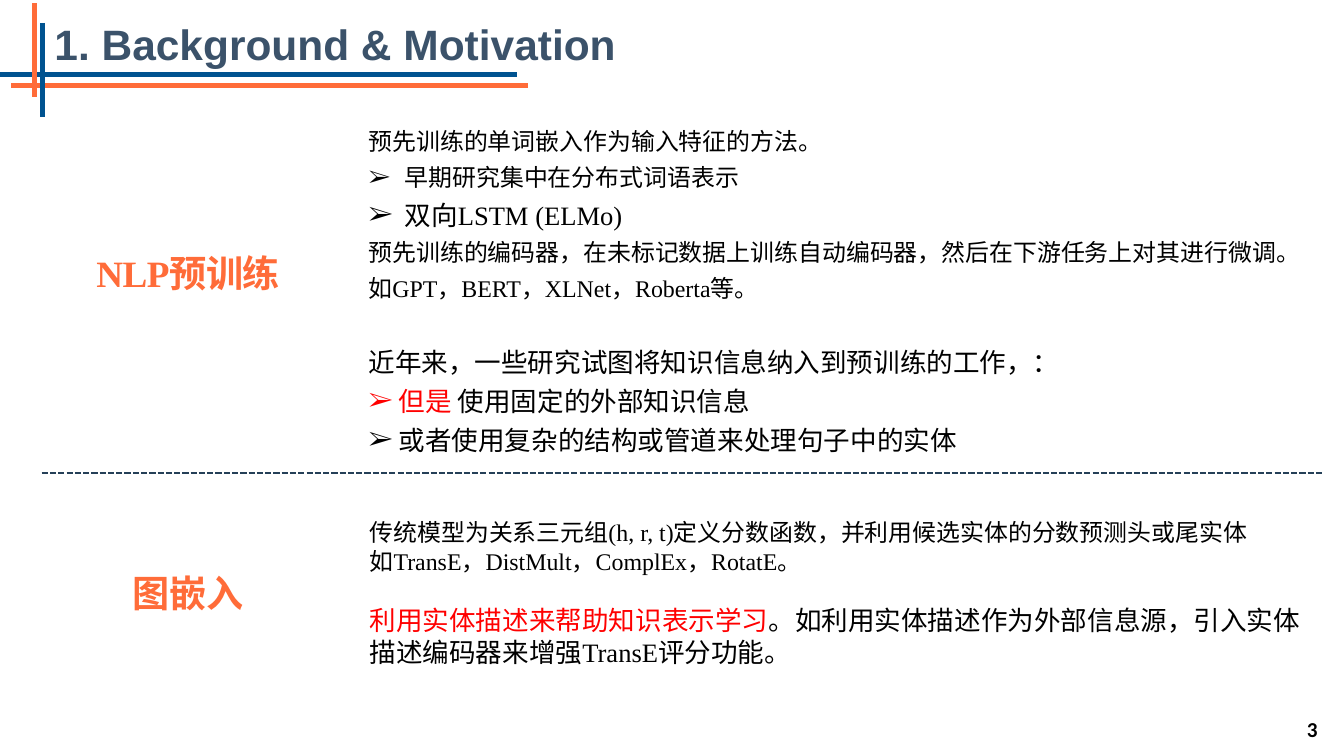
import lxml.etree
import pptx
import pptx.dml.color
import pptx.enum.dml
import pptx.enum.shapes
import pptx.enum.text
import pptx.oxml.ns
import pptx.util

Cm = pptx.util.Cm
Pt = pptx.util.Pt
COLORS = {"title": "3B526A", "orange": "FF6C39", "blue": "005390",
          "divider": "254058", "black": "000000", "red": "FF0000"}
SERIF = "Times New Roman"


class SlideBuilder:
    """Holds the slide and the style shared by its lines and text."""

    def __init__(self, slide):
        self.slide = slide

    def color(self, name):
        return pptx.dml.color.RGBColor.from_string(COLORS[name])

    def line(self, start, end, color, width=3.6, dash=None):
        points = [Cm(value) for value in (*start, *end)]
        connector = self.slide.shapes.add_connector(
            pptx.enum.shapes.MSO_CONNECTOR.STRAIGHT, *points)
        connector.line.color.rgb = self.color(color)
        connector.line.width = Pt(width)
        connector.line.dash_style = dash
        lxml.etree.SubElement(connector._element.spPr, pptx.oxml.ns.qn("a:effectLst"))

    def text_frame(self, left, top, width, height):
        box = self.slide.shapes.add_textbox(Cm(left), Cm(top), Cm(width), Cm(height))
        frame = box.text_frame
        frame.word_wrap = True
        frame.margin_left = frame.margin_right = frame.margin_bottom = 0
        frame.margin_top = Cm(0.03)
        return frame

    def style(self, run, size, color, font, bold=False):
        run.font.size = Pt(size)
        run.font.name = font
        run.font.bold = bold
        run.font.color.rgb = self.color(color)

    def label(self, area, text, size, color, font=SERIF, centered=False):
        frame = self.text_frame(*area)
        frame.text = text
        paragraph = frame.paragraphs[0]
        run = paragraph.runs[0]
        self.style(run, size, color, font, bold=True)
        if centered:
            paragraph.alignment = pptx.enum.text.PP_ALIGN.CENTER
            run._r.get_or_add_rPr().set("spc", "-40")

    def bullet(self, paragraph, indent):
        properties = paragraph._p.get_or_add_pPr()
        properties.set("marL", str(Cm(indent)))
        properties.set("indent", str(-Cm(indent)))
        for tag, key, value in (("a:buFont", "typeface", SERIF), ("a:buChar", "char", "➢")):
            element = lxml.etree.SubElement(properties, pptx.oxml.ns.qn(tag))
            element.set(key, value)

    def body(self, area, rows):
        frame = self.text_frame(*area)
        for index, (size, space, indent, parts) in enumerate(rows):
            paragraph = frame.add_paragraph() if index else frame.paragraphs[0]
            if indent:
                self.bullet(paragraph, indent)
            if index:
                paragraph.space_before = Pt(space)
            for text, color in parts:
                run = paragraph.add_run()
                run.text = text
                self.style(run, size, color, SERIF)


def main():
    presentation = pptx.Presentation()
    presentation.slide_width = Pt(1013)
    presentation.slide_height = Pt(570)
    slide = presentation.slides.add_slide(presentation.slide_layouts[6])
    builder = SlideBuilder(slide)

    builder.label((1.45, 0.44, 16, 1.42), "1. Background & Motivation", 32, "title", "Arial")
    builder.line((0.3, 2.28), (14.05, 2.28), "orange")
    builder.line((0, 1.98), (13.74, 1.98), "blue")
    builder.line((1.14, 0.61), (1.14, 3.1), "blue")
    builder.line((0.91, 0.08), (0.91, 2.57), "orange")
    builder.line((1.11, 12.59), (35.18, 12.59), "divider", 1.56,
                 pptx.enum.dml.MSO_LINE.SQUARE_DOT)

    for top, topic in ((6.63, "NLP预训练"), (15.14, "图嵌入")):
        builder.label((2, top, 6, 1.22), topic, 28, "orange", centered=True)

    builder.body((9.8, 3.35, 25.3, 9.1), [
        (18, 0, 0, [("预先训练的单词嵌入作为输入特征的方法。", "black")]),
        (18, 5.5, 0.96, [("早期研究集中在分布式词语表示", "black")]),
        (20, 5.5, 0.96, [("双向LSTM (ELMo)", "black")]),
        (18, 5.5, 0, [("预先训练的编码器，在未标记数据上训练自动编码器，"
                       "然后在下游任务上对其进行微调。", "black")]),
        (18, 5.5, 0, [("如GPT，BERT，XLNet，Roberta等。", "black")]),
        (20, 32.5, 0, [("近年来，一些研究试图将知识信息纳入到预训练的工作，：", "black")]),
        (20, 5.5, 0.8, [("但是 ", "red"), ("使用固定的外部知识信息", "black")]),
        (20, 5.5, 0.8, [("或者使用复杂的结构或管道来处理句子中的实体", "black")]),
    ])
    builder.body((9.83, 13.75, 25.3, 4.2), [
        (18, 0, 0, [("传统模型为关系三元组(h, r, t)定义分数函数，"
                     "并利用候选实体的分数预测头或尾实体", "black")]),
        (18, 0, 0, [("如TransE，DistMult，ComplEx，RotatE。", "black")]),
        (20, 21.5, 0, [("利用实体描述来帮助知识表示学习", "red"),
                       ("。如利用实体描述作为外部信息源，"
                        "引入实体描述编码器来增强TransE评分功能。", "black")]),
    ])
    builder.label((34.75, 19.02, 0.6, 0.74), "3", 16, "black", "Calibri")
    presentation.save("out.pptx")


if __name__ == "__main__":
    main()
